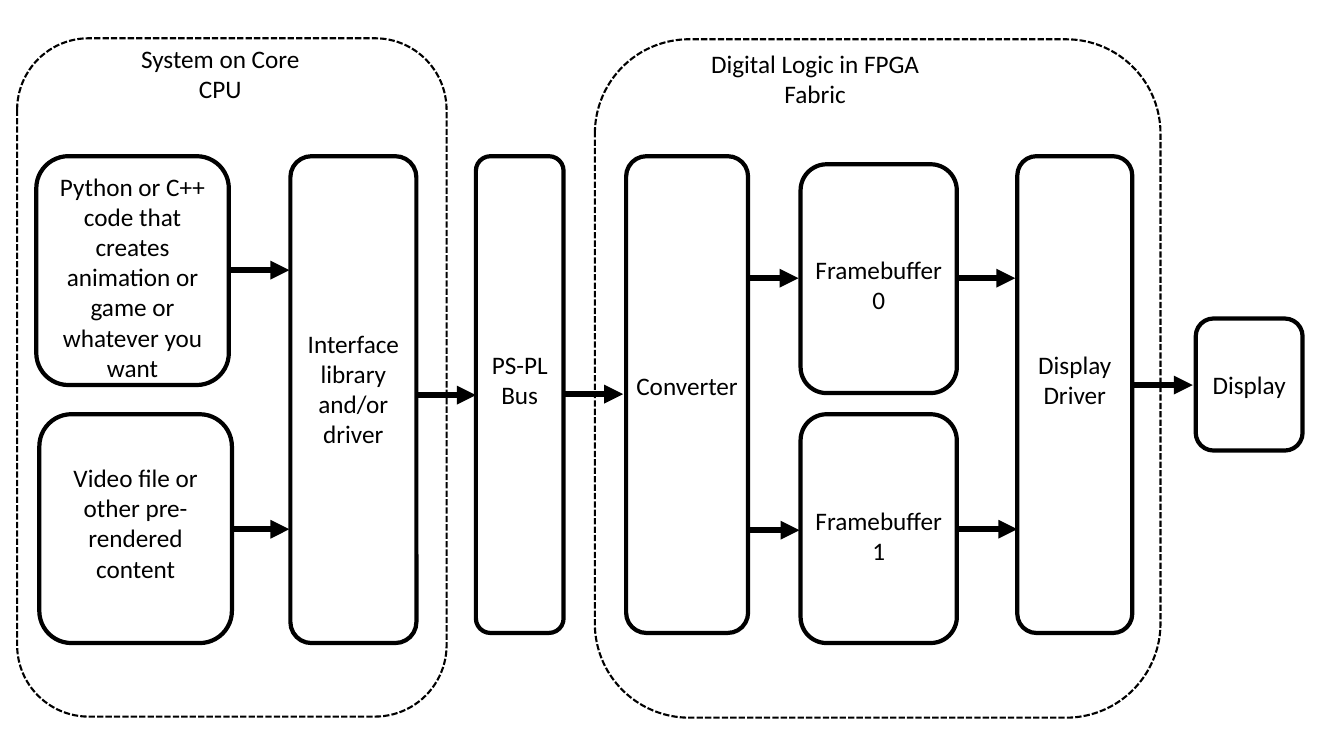
"""Build the block diagram of a video pipeline from CPU software through FPGA logic to a display."""
from lxml.etree import SubElement
from pptx import Presentation
from pptx.dml.color import RGBColor
from pptx.enum.dml import MSO_LINE
from pptx.enum.shapes import MSO_CONNECTOR, MSO_SHAPE
from pptx.enum.text import MSO_ANCHOR, PP_ALIGN
from pptx.oxml.ns import qn
from pptx.util import Inches, Pt

THEME = {
    "ink": RGBColor(0, 0, 0),
    "font": "Calibri",
    "text_size": Pt(18),
    "frame_line": Pt(1.5),
    "box_line": Pt(3),
    "arrow_line": Pt(4.5),
}


def write_text(shape, text, frame_format):
    text_frame = shape.text_frame
    for name, value in {"word_wrap": True, **frame_format}.items():
        setattr(text_frame, name, value)
    paragraph = text_frame.paragraphs[0]
    paragraph.alignment = PP_ALIGN.CENTER
    run = paragraph.add_run()
    run.text = text
    for name, value in {"name": THEME["font"], "size": THEME["text_size"]}.items():
        setattr(run.font, name, value)
    run.font.color.rgb = THEME["ink"]


def add_rounded_box(slide, bounds, line_width):
    shape = slide.shapes.add_shape(MSO_SHAPE.ROUNDED_RECTANGLE, *map(Inches, bounds))
    shape.shadow.inherit = False
    shape.fill.background()
    shape.line.color.rgb = THEME["ink"]
    shape.line.width = line_width
    return shape


presentation = Presentation()
presentation.slide_width = Inches(13.33)
presentation.slide_height = Inches(7.5)
slide = presentation.slides.add_slide(presentation.slide_layouts[6])

frames = [
    ("System on Core CPU", (0.17, 0.38, 4.26, 6.73), (1.23, 0.38, 1.91, 0.57)),
    ("Digital Logic in FPGA Fabric", (5.9, 0.39, 5.61, 6.73), (6.74, 0.43, 2.69, 0.57)),
]
for heading, bounds, heading_bounds in frames:
    frame = add_rounded_box(slide, bounds, THEME["frame_line"])
    frame.line.dash_style = MSO_LINE.SQUARE_DOT
    heading_box = slide.shapes.add_textbox(*map(Inches, heading_bounds))
    write_text(heading_box, heading, {"vertical_anchor": MSO_ANCHOR.TOP})

top, tall, short, lower_top = 1.55, 4.73, 2.27, 4.11
boxes = [
    ("Python or C++ code that creates animation or game or whatever you want",
     (0.36, top, 1.91, short), 0.06),
    ("Video file or other pre-rendered content", (0.39, lower_top, 1.91, short), -0.06),
    ("Interface library and/or driver", (2.88, top, 1.25, 4.83), -0.11),
    ("PS-PL Bus", (4.72, top, 0.87, tall), -0.15),
    ("Converter", (6.21, top, 1.21, tall), -0.09),
    ("Framebuffer 0", (7.94, 1.63, 1.55, short), 0.06),
    ("Framebuffer 1", (7.94, lower_top, 1.55, short), 0.07),
    ("Display Driver", (10.09, top, 1.14, tall), -0.15),
    ("Display", (11.86, 3.16, 1.06, 1.31), 0),
]
for label, bounds, text_shift in boxes:
    box = add_rounded_box(slide, bounds, THEME["box_line"])
    write_text(box, label, {
        "vertical_anchor": MSO_ANCHOR.MIDDLE,
        "margin_left": Inches(0.03),
        "margin_right": Inches(0.03),
        "margin_top": Inches(max(0, 2 * text_shift)),
        "margin_bottom": Inches(max(0, -2 * text_shift)),
    })

arrows = [
    (2.28, 2.87, 2.68),
    (2.3, 2.87, 5.25),
    (4.13, 4.72, 3.92),
    (5.59, 6.18, 3.91),
    (7.41, 7.92, 2.76),
    (7.42, 7.93, 5.26),
    (9.48, 10.07, 2.76),
    (9.5, 10.09, 5.25),
    (11.24, 11.83, 3.82),
]
for start, end, height in arrows:
    arrow = slide.shapes.add_connector(
        MSO_CONNECTOR.STRAIGHT, *map(Inches, (start, height, end, height)))
    arrow.line.color.rgb = THEME["ink"]
    arrow.line.width = THEME["arrow_line"]
    properties = arrow._element.spPr
    SubElement(properties.find(qn("a:ln")), qn("a:tailEnd"), type="triangle")
    SubElement(properties, qn("a:effectLst"))

presentation.save("out.pptx")
